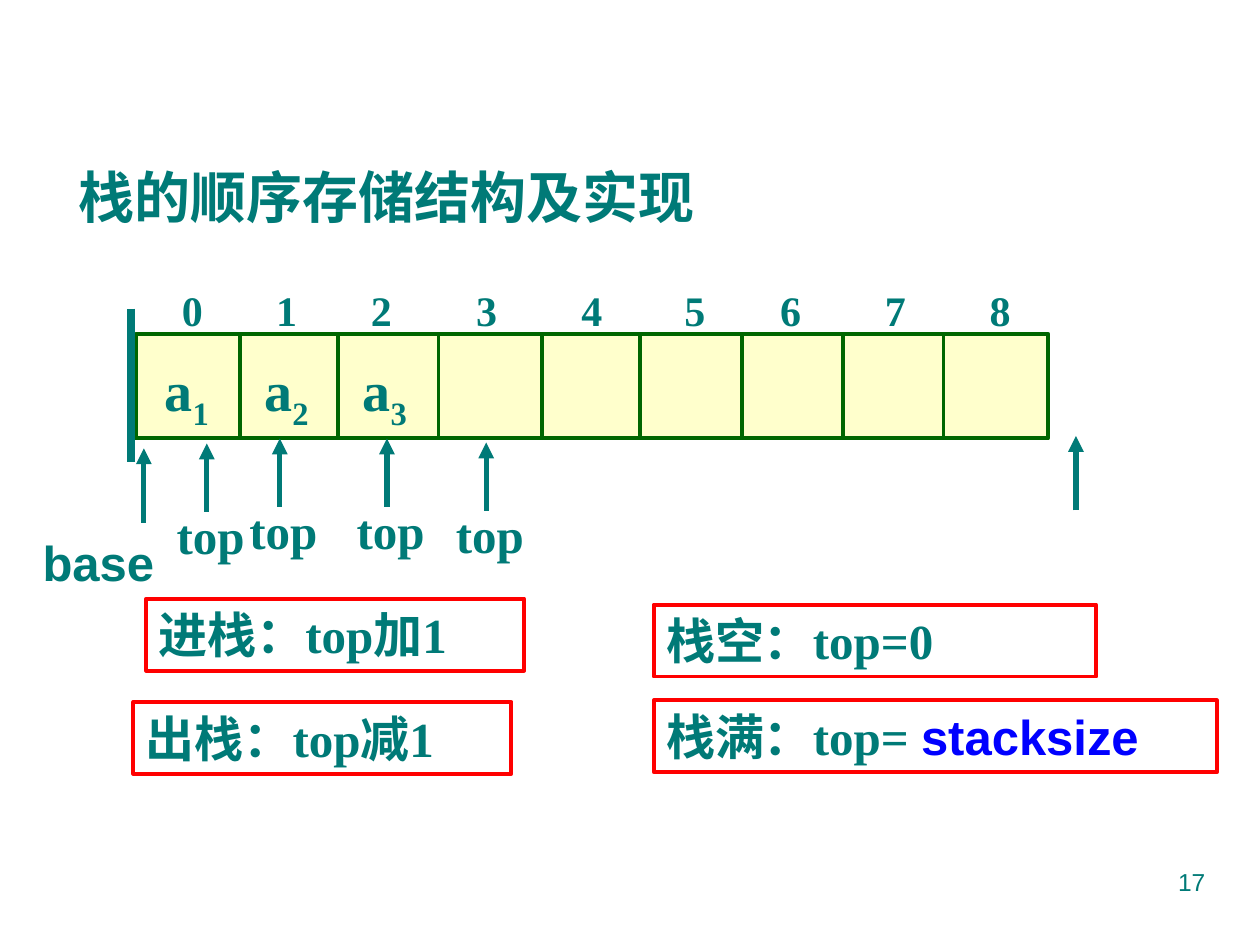
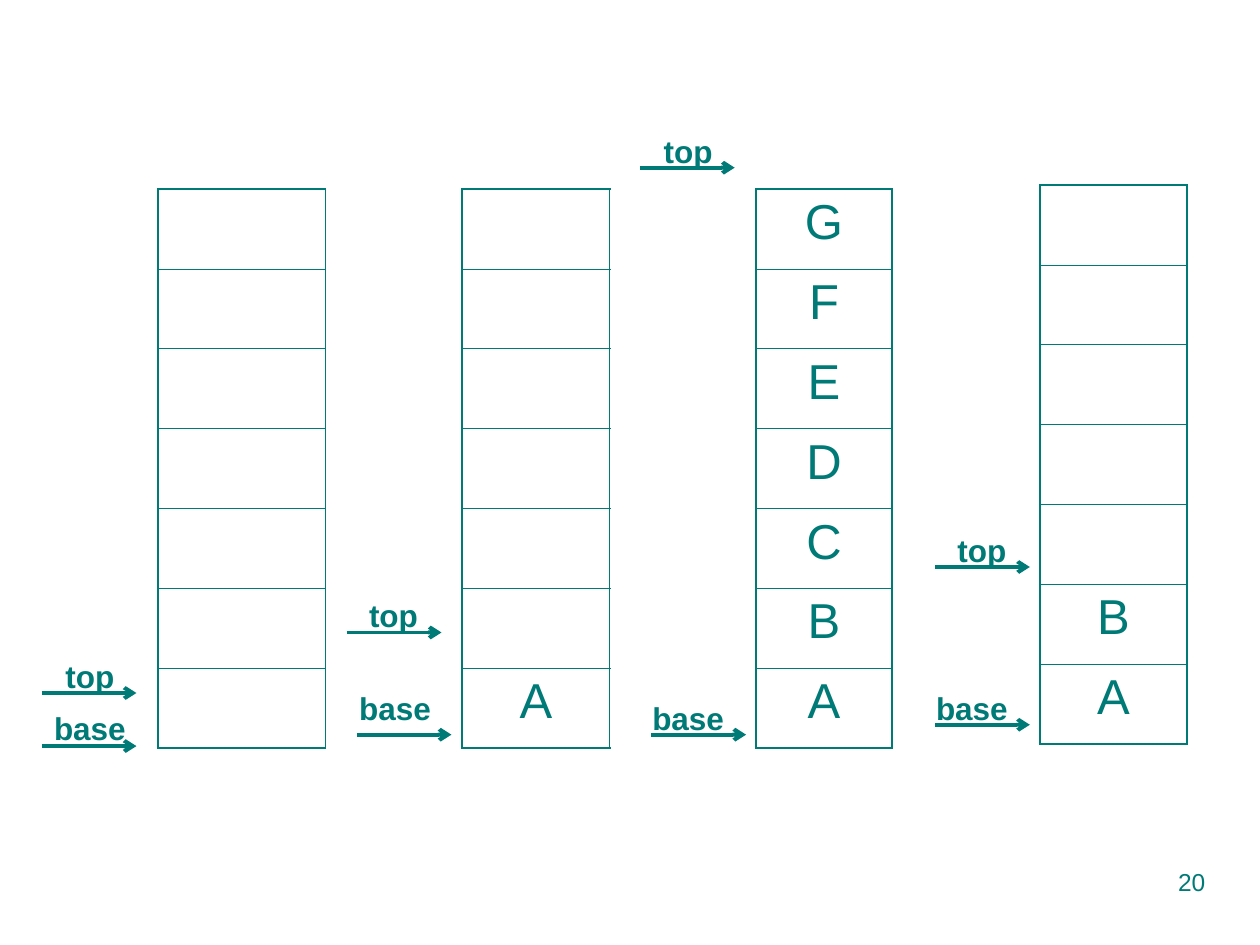
from dataclasses import dataclass
from typing import NamedTuple

from lxml import etree
from pptx import Presentation
from pptx import util as u
from pptx.dml.color import RGBColor
from pptx.enum import shapes, text
from pptx.oxml import ns

COLOURS = {
    "teal": "007A77",
    "red": "FF0000",
    "green": "006600",
    "cream": "FFFFCC",
    "blue": "0000FF",
}
SERIF, SANS = "Times New Roman", "Arial"
TITLE_ONLY, BLANK = 5, 6


class Place(NamedTuple):
    left: float
    top: float
    width: float
    height: float

    def lengths(self) -> list:
        return [u.Cm(value) for value in self]


class Point(NamedTuple):
    x: float
    y: float


class Rule(NamedTuple):
    """A framed statement: where it stands, what it says, and a blue ending."""
    place: Place
    words: str
    ending: str = ""


@dataclass
class Pointer:
    label: str
    arrow: Point
    words: Point


@dataclass
class Stack:
    left: float
    top: float
    width: float
    items: str
    pointers: tuple[Pointer, Pointer]


def colour(name: str) -> RGBColor:
    return RGBColor.from_string(COLOURS[name])


def write(para, words: str, *, size: float = 28, font: str = SERIF, bold: bool = True,
          ink: str = "teal", align=text.PP_ALIGN.LEFT, subscript: bool = False) -> None:
    """Append one formatted run to a paragraph."""
    para.alignment = align
    span = para.add_run()
    span.text = words
    span.font.size = u.Pt(size)
    span.font.name = font
    span.font.bold = bold
    span.font.color.rgb = colour(ink)
    if subscript:
        span._r.get_or_add_rPr().set("baseline", "-25000")


def add_label(page, place: Place, words: str, **style):
    box = page.shapes.add_textbox(*place.lengths())
    box.text_frame.word_wrap = True
    para = box.text_frame.paragraphs[0]
    write(para, words, **style)
    return para


def add_rectangle(page, place: Place, line: str, fill: str = ""):
    box = page.shapes.add_shape(shapes.MSO_SHAPE.RECTANGLE, *place.lengths())
    box.shadow.inherit = False
    box.line.color.rgb = colour(line)
    box.line.width = u.Pt(2.25)
    if fill:
        box.fill.solid()
        box.fill.fore_color.rgb = colour(fill)
    else:
        box.fill.background()
    return box


def add_line(page, start: Point, end: Point, width: float,
             ink: str = "teal", head: str = "") -> None:
    line = page.shapes.add_connector(
        shapes.MSO_CONNECTOR.STRAIGHT, *(u.Cm(value) for value in (*start, *end)))
    line.line.color.rgb = colour(ink)
    line.line.width = u.Pt(width)
    properties = line.element.spPr
    if head:
        etree.SubElement(properties.find(ns.qn("a:ln")), ns.qn("a:tailEnd"), type=head)
    etree.SubElement(properties, ns.qn("a:effectLst"))


def add_page_number(page, number: int) -> None:
    add_label(page, Place(18.2, 17.35, 6.35, 1.32), str(number), size=14, font=SANS,
              bold=False, align=text.PP_ALIGN.RIGHT)


def add_title(page, words: str) -> None:
    title = page.shapes.title
    title.left, title.top, title.width, title.height = Place(1.32, 3.15, 16.3, 1.63).lengths()
    frame = title.text_frame
    frame.auto_size = text.MSO_AUTO_SIZE.NONE
    frame.vertical_anchor = text.MSO_ANCHOR.TOP
    write(frame.paragraphs[0], words, size=32)


def add_rule(page, rule: Rule) -> None:
    frame = add_rectangle(page, rule.place, "red").text_frame
    frame.word_wrap = True
    frame.vertical_anchor = text.MSO_ANCHOR.TOP
    write(frame.paragraphs[0], rule.words)
    if rule.ending:
        write(frame.paragraphs[0], rule.ending, font=SANS, ink="blue")


def add_indices(page, place: Place, stops: list[float]) -> None:
    """Number the cells on one line, each number centred on its tab stop."""
    box = page.shapes.add_textbox(*place.lengths())
    box.text_frame.word_wrap = True
    para = box.text_frame.paragraphs[0]
    tabs = etree.SubElement(para._p.get_or_add_pPr(), ns.qn("a:tabLst"))
    for stop in stops:
        etree.SubElement(tabs, ns.qn("a:tab"), pos=str(u.Cm(stop)), algn="ctr")
    write(para, "".join(f"\t{index}" for index in range(len(stops))), size=24)


def add_array(page) -> None:
    cells = Place(2.74, 6.73, 18.39, 2.11)
    bottom = cells.top + cells.height
    add_rectangle(page, cells, "green", "cream")
    add_indices(page, Place(2.79, 5.61, 18.62, 1.27),
                [0.84, 2.74, 4.65, 6.77, 8.89, 10.97, 12.9, 15.01, 17.12])
    for x in (4.83, 6.81, 8.84, 10.92, 12.9, 14.96, 16.99, 19.02):
        add_line(page, Point(x, cells.top), Point(x, bottom), 2.25, "green")
    add_line(page, Point(2.64, 6.22), Point(2.64, 9.32), 4.5)
    for number, left in enumerate((3.07, 5.08, 7.06), start=1):
        para = add_label(page, Place(left, 7.04, 1.7, 1.8), "a", size=32)
        write(para, str(number), size=32, subscript=True)


def add_array_pointers(page) -> None:
    for tip in (Point(4.17, 8.94), Point(5.64, 8.84), Point(7.8, 8.84), Point(9.8, 8.92)):
        add_line(page, Point(tip.x, tip.y + 1.38), tip, 3, head="triangle")
        add_label(page, Place(tip.x - 0.86, tip.y + 1.13, 2.01, 1.45), "top")
    for tip in (Point(2.9, 9.04), Point(21.69, 8.79)):
        add_line(page, Point(tip.x, tip.y + 1.5), tip, 3, head="triangle")
    add_label(page, Place(0.61, 10.62, 3.07, 1.45), "base", font=SANS)


def set_borders(cell, first: bool, last: bool) -> None:
    """Frame a stack cell: thick on the outside, thin between cells."""
    thick, thin = 1.08, 0.45
    widths = {"L": thick, "R": thick, "T": thick if first else thin, "B": thick if last else thin}
    properties = cell._tc.get_or_add_tcPr()
    for side, width in widths.items():
        line = etree.SubElement(properties, ns.qn(f"a:ln{side}"), w=str(u.Pt(width)))
        fill = etree.SubElement(line, ns.qn("a:solidFill"))
        etree.SubElement(fill, ns.qn("a:srgbClr"), val=COLOURS["teal"])
    cell.fill.background()


def add_stack(page, stack: Stack) -> None:
    rows, row_height = 7, 1.61
    place = Place(stack.left, stack.top, stack.width, rows * row_height)
    table = page.shapes.add_table(rows, 1, *place.lengths()).table
    table.first_row = table.horz_banding = False
    for index in range(rows):
        table.rows[index].height = u.Cm(row_height)
        cell = table.cell(index, 0)
        set_borders(cell, index == 0, index == rows - 1)
        depth = rows - 1 - index
        if depth < len(stack.items):
            write(cell.text_frame.paragraphs[0], stack.items[depth], font=SANS,
                  bold=False, align=text.PP_ALIGN.CENTER)
    for pointer in stack.pointers:
        end = Point(pointer.arrow.x + 1.91, pointer.arrow.y)
        add_line(page, pointer.arrow, end, 2.25, head="arrow")
        add_label(page, Place(*pointer.words, 2.11, 1.02), pointer.label, size=18, font=SANS)


RULES = [
    Rule(Place(2.95, 12.07, 7.62, 1.45), "进栈：top加1"),
    Rule(Place(2.69, 14.15, 7.62, 1.45), "出栈：top减1"),
    Rule(Place(13.18, 12.19, 8.92, 1.45), "栈空：top=0"),
    Rule(Place(13.18, 14.12, 11.35, 1.45), "栈满：top= ", "stacksize"),
]

STACKS = [
    Stack(3.18, 3.81, 3.38, "", (
        Pointer("top", Point(0.84, 13.97), Point(1.07, 13.13)),
        Pointer("base", Point(0.84, 15.04), Point(0.84, 14.17)))),
    Stack(9.32, 3.81, 2.97, "A", (
        Pointer("top", Point(6.99, 12.75), Point(7.19, 11.89)),
        Pointer("base", Point(7.19, 14.81), Point(6.99, 13.77)))),
    Stack(15.24, 3.81, 2.74, "ABCDEFG", (
        Pointer("top", Point(12.9, 3.38), Point(13.13, 2.54)),
        Pointer("base", Point(13.13, 14.81), Point(12.9, 13.97)))),
    Stack(20.96, 3.73, 2.97, "AB", (
        Pointer("top", Point(18.85, 11.43), Point(19.05, 10.59)),
        Pointer("base", Point(18.85, 14.61), Point(18.62, 13.77)))),
]


def main() -> None:
    deck = Presentation()
    deck.slide_width, deck.slide_height = u.Cm(25.4), u.Cm(19.05)

    page = deck.slides.add_slide(deck.slide_layouts[TITLE_ONLY])
    add_title(page, "栈的顺序存储结构及实现")
    add_array(page)
    add_array_pointers(page)
    for rule in RULES:
        add_rule(page, rule)
    add_page_number(page, 17)

    page = deck.slides.add_slide(deck.slide_layouts[BLANK])
    for stack in STACKS:
        add_stack(page, stack)
    add_page_number(page, 20)

    deck.save("out.pptx")


if __name__ == "__main__":
    main()
